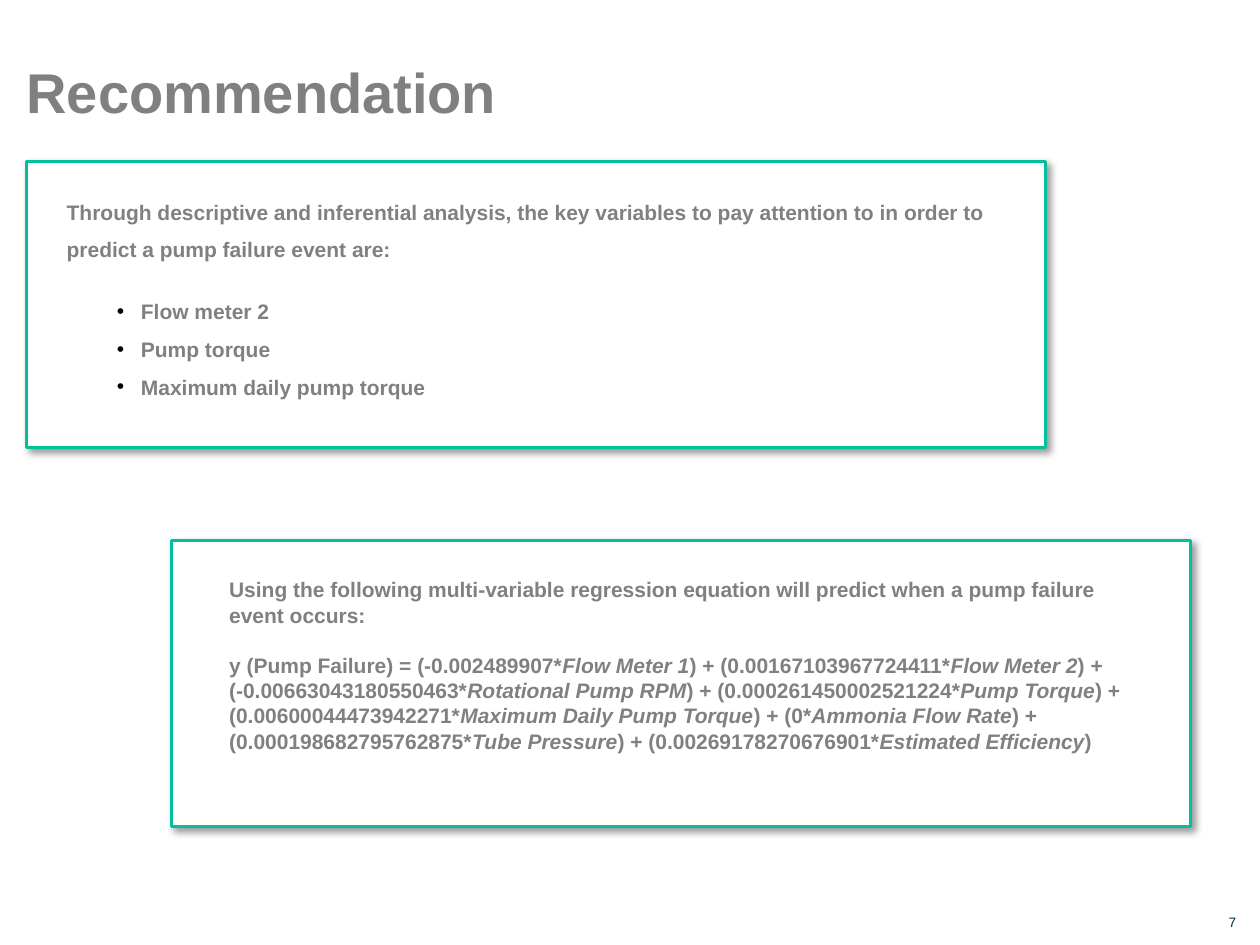
from dataclasses import dataclass

from lxml import etree
from pptx import Presentation
from pptx.dml.color import RGBColor
from pptx.enum.shapes import MSO_SHAPE
from pptx.enum.text import MSO_ANCHOR, PP_ALIGN
from pptx.oxml.ns import qn
from pptx.util import Inches, Pt

RECTANGLE = MSO_SHAPE.RECTANGLE
TOP, MIDDLE = MSO_ANCHOR.TOP, MSO_ANCHOR.MIDDLE
LEFT, RIGHT = PP_ALIGN.LEFT, PP_ALIGN.RIGHT

TITLE = "Recommendation"
PAGE_NUMBER = "7"
FINDING = ("Through descriptive and inferential analysis, the key variables to pay "
           "attention to in order to predict a pump failure event are:")
KEY_VARIABLES = ["Flow meter 2", "Pump torque", "Maximum daily pump torque"]
EQUATION_INTRO = ("Using the following multi-variable regression equation will "
                  "predict when a pump failure event occurs:")
EQUATION_START = "y (Pump Failure) = "
EQUATION_TERMS = [
    ("-0.002489907", "Flow Meter 1"),
    ("0.00167103967724411", "Flow Meter 2"),
    ("-0.00663043180550463", "Rotational Pump RPM"),
    ("0.000261450002521224", "Pump Torque"),
    ("0.00600044473942271", "Maximum Daily Pump Torque"),
    ("0", "Ammonia Flow Rate"),
    ("0.000198682795762875", "Tube Pressure"),
    ("0.00269178270676901", "Estimated Efficiency"),
]

PAGE_SIZE = (10, 7.5)
CARD_SIZE = (8.09, 2.27)
CARD_CORNERS = [(0.21, 1.28), (1.36, 4.29)]
PADDING = (0.1, 0.05)


@dataclass(frozen=True)
class Theme:
    """Colours, font and type sizes of the slide."""
    font: str = "Arial"
    text: str = "808080"
    number: str = "002C46"
    accent: str = "00C09D"
    paper: str = "FFFFFF"
    ink: str = "000000"
    title_size: float = 32
    body_size: float = 12
    number_size: float = 7.8


THEME = Theme()


def add_element(parent, tag, **attributes):
    """Append a DrawingML child and return it."""
    values = {name: str(value) for name, value in attributes.items()}
    return etree.SubElement(parent, qn(tag), values)


def add_card(page, corner):
    """Draw an outlined card with a soft shadow."""
    card = page.shapes.add_shape(RECTANGLE, *map(Inches, corner + CARD_SIZE))
    card.fill.solid()
    card.fill.fore_color.rgb = RGBColor.from_string(THEME.paper)
    card.line.color.rgb = RGBColor.from_string(THEME.accent)
    card.line.width = Pt(1.5)
    card.shadow.inherit = False
    effects = card._element.spPr.find(qn("a:effectLst"))
    shadow = add_element(effects, "a:outerShdw", blurRad=Pt(4), dist=Pt(3),
                         dir=45 * 60000, algn="tl", rotWithShape=0)
    color = add_element(shadow, "a:srgbClr", val=THEME.ink)
    add_element(color, "a:alpha", val=40000)


def add_text(page, place, paragraphs, size=THEME.body_size, color=THEME.text,
             bold=True, padding=(0, 0), anchor=TOP, align=LEFT, spacing=None):
    """Add a text box; each paragraph is a list of (text, italic) spans."""
    box = page.shapes.add_textbox(*map(Inches, place))
    frame = box.text_frame
    frame.word_wrap = True
    frame.vertical_anchor = anchor
    frame.margin_left = frame.margin_right = Inches(padding[0])
    frame.margin_top = frame.margin_bottom = Inches(padding[1])
    for index, spans in enumerate(paragraphs):
        para = frame.add_paragraph() if index else frame.paragraphs[0]
        para.alignment = align
        para.line_spacing = spacing
        para.font.name = THEME.font
        para.font.size = Pt(size)
        para.font.bold = bold
        para.font.color.rgb = RGBColor.from_string(color)
        for text, italic in spans:
            span = para.add_run()
            span.text = text
            if italic:
                span.font.italic = True
    return frame.paragraphs


def add_bullet(para, indent=0.19):
    """Give a paragraph a hanging round bullet."""
    properties = para._p.get_or_add_pPr()
    properties.set("marL", str(Inches(indent)))
    properties.set("indent", str(-Inches(indent)))
    marks = [etree.Element(qn(tag)) for tag in ("a:buClr", "a:buFont", "a:buChar")]
    add_element(marks[0], "a:srgbClr", val=THEME.ink)
    marks[1].set("typeface", THEME.font)
    marks[2].set("char", "•")
    for mark in marks:
        properties.find(qn("a:defRPr")).addprevious(mark)


def equation_spans():
    """Join the terms, with variable names in italics."""
    spans, lead = [], EQUATION_START
    for coefficient, variable in EQUATION_TERMS:
        spans += [(f"{lead}({coefficient}*", False), (variable, True)]
        lead = ") + "
    return spans + [(")", False)]


def build():
    """Build and save the slide."""
    deck = Presentation()
    deck.slide_width, deck.slide_height = map(Inches, PAGE_SIZE)
    page = deck.slides.add_slide(deck.slide_layouts[6])
    for corner in CARD_CORNERS:
        add_card(page, corner)

    add_text(page, (0.21, 0.46, 9.38, 0.54), [[(TITLE, False)]], THEME.title_size)
    add_text(page, (0.53, 1.48, 7.77, 0.61), [[(FINDING, False)]], spacing=1.5)
    bullets = add_text(page, (0.83, 2.22, 6.49, 0.97),
                       [[(name, False)] for name in KEY_VARIABLES],
                       padding=PADDING, spacing=1.5)
    for para in bullets:
        add_bullet(para)
    equation = add_text(page, (1.72, 4.53, 7.29, 1.51),
                        [[(EQUATION_INTRO, False)], equation_spans()],
                        padding=PADDING)
    equation[1].space_before = Pt(14.4)
    add_text(page, (9.67, 7.25, 0.14, 0.13), [[(PAGE_NUMBER, False)]],
             THEME.number_size, THEME.number, bold=False, anchor=MIDDLE, align=RIGHT)
    deck.save("out.pptx")


build()
